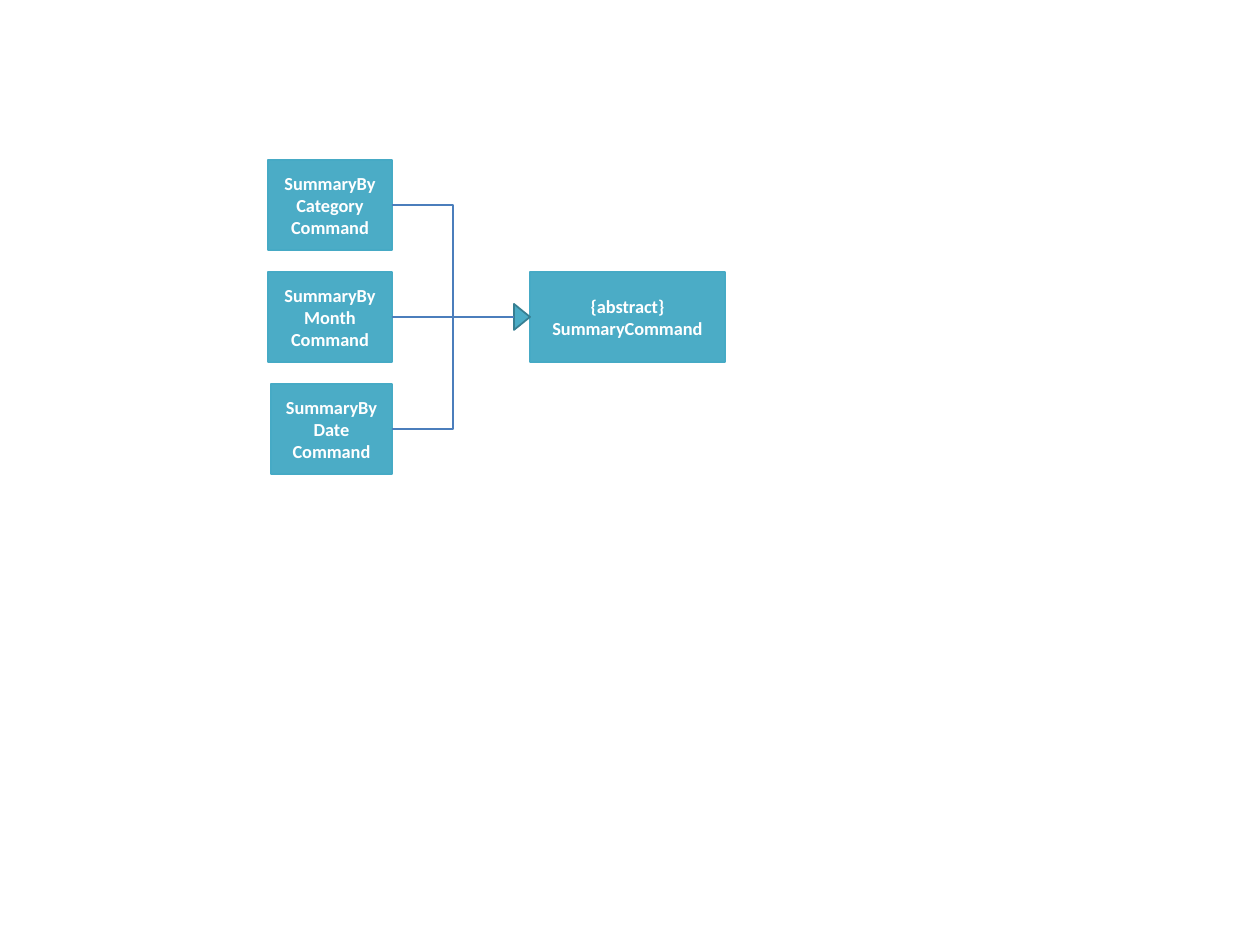
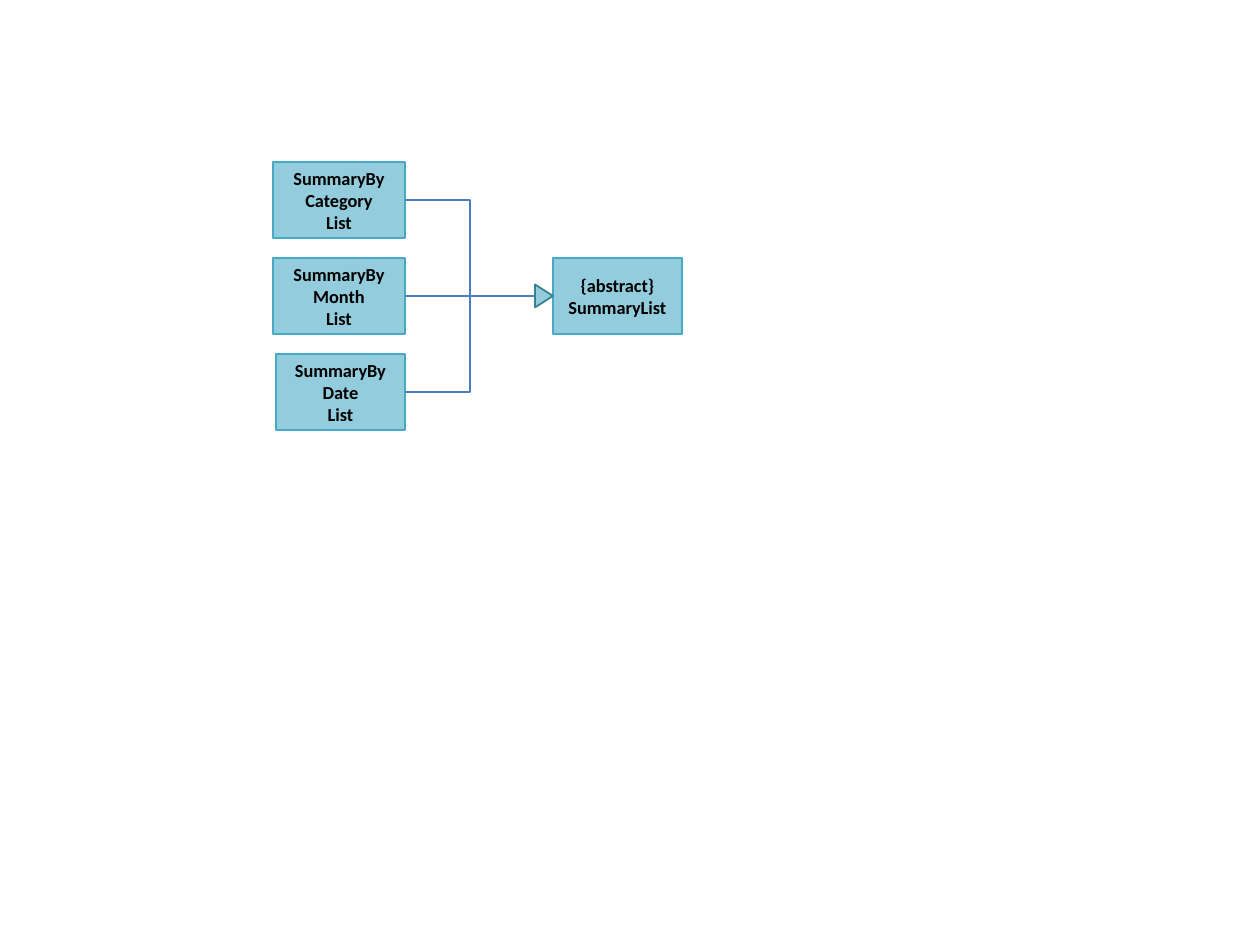
from dataclasses import dataclass

from lxml import etree
from pptx import Presentation
from pptx import util as u
from pptx.dml.color import RGBColor
from pptx.enum import shapes, text
from pptx.oxml import ns

COLORS = {
    "command": "4BACC6",
    "list": "93CDDD",
    "box_line": "46AAC5",
    "arrow_line": "377F92",
    "connector": "4B7EBC",
    "white": "FFFFFF",
    "black": "000000",
}
FONT = "Calibri"
BLANK_LAYOUT = 6
TEXT_MARGIN = 13
LAST_INDENT = 3  # the lowest subclass box starts slightly further right


@dataclass
class Hierarchy:
    """A class diagram: subclasses stacked on the left, their parent on the right."""
    subclasses: list
    parent: str
    fill: str
    font_color: str
    left: int
    top: int
    box_width: int
    box_height: int
    step: int
    parent_left: int
    parent_width: int
    arrow_length: int
    arrow_width: int


HIERARCHIES = [
    Hierarchy(["SummaryByCategory\nCommand", "SummaryByMonth\nCommand",
               "SummaryByDate\nCommand"],
              "{abstract}\nSummaryCommand", "command", "white",
              left=268, top=160, box_width=124, box_height=90, step=112,
              parent_left=530, parent_width=195, arrow_length=16, arrow_width=26),
    Hierarchy(["SummaryBy\nCategory\nList", "SummaryByMonth\nList",
               "SummaryBy\nDate\nList"],
              "{abstract}\nSummaryList", "list", "black",
              left=273, top=162, box_width=132, box_height=76, step=96,
              parent_left=553, parent_width=129, arrow_length=18, arrow_width=23),
]


def px(length):
    return u.Emu(round(length * 914400 / 126))


def rgb(name):
    return RGBColor.from_string(COLORS[name])


def add_filled_shape(slide, kind, box, fill, line, line_width):
    shape = slide.shapes.add_shape(kind, *map(px, box))
    shape.shadow.inherit = False
    shape.fill.solid()
    shape.fill.fore_color.rgb = rgb(fill)
    shape.line.color.rgb = rgb(line)
    shape.line.width = u.Pt(line_width)
    return shape


def add_class_box(slide, box, label, hierarchy):
    shape = add_filled_shape(slide, shapes.MSO_SHAPE.RECTANGLE, box,
                             hierarchy.fill, "box_line", 0.75)
    frame = shape.text_frame
    frame.word_wrap = True
    frame.vertical_anchor = text.MSO_ANCHOR.MIDDLE
    frame.margin_left = frame.margin_right = px(TEXT_MARGIN)
    frame.text = label
    for paragraph in frame.paragraphs:
        paragraph.alignment = text.PP_ALIGN.CENTER
        for run in paragraph.runs:
            run.font.name = FONT
            run.font.size = u.Pt(10.5)
            run.font.bold = True
            run.font.color.rgb = rgb(hierarchy.font_color)


def add_inheritance_arrow(slide, tip_x, tip_y, hierarchy):
    """Place a triangle, turned to point right, with its tip at the given point."""
    length, width = hierarchy.arrow_length, hierarchy.arrow_width
    center_x = tip_x - length / 2
    box = (center_x - width / 2, tip_y - length / 2, width, length)
    triangle = add_filled_shape(slide, shapes.MSO_SHAPE.ISOSCELES_TRIANGLE, box,
                                hierarchy.fill, "arrow_line", 1)
    triangle.rotation = 90


def add_elbow(slide, start, end):
    connector = slide.shapes.add_connector(shapes.MSO_CONNECTOR.ELBOW,
                                           *map(px, start + end))
    connector.line.color.rgb = rgb("connector")
    connector.line.width = u.Pt(1.5)
    etree.SubElement(connector.element.spPr, ns.qn("a:effectLst"))


def add_hierarchy_slide(presentation, hierarchy):
    slide = presentation.slides.add_slide(presentation.slide_layouts[BLANK_LAYOUT])
    height = hierarchy.box_height
    right = hierarchy.left + hierarchy.box_width
    tops = [hierarchy.top + row * hierarchy.step
            for row in range(len(hierarchy.subclasses))]
    parent_top = tops[len(tops) // 2]
    parent_middle = parent_top + height / 2

    for label, top in zip(hierarchy.subclasses, tops):
        left = hierarchy.left + (LAST_INDENT if top == tops[-1] else 0)
        add_class_box(slide, (left, top, right - left, height), label, hierarchy)
    add_class_box(slide, (hierarchy.parent_left, parent_top,
                          hierarchy.parent_width, height),
                  hierarchy.parent, hierarchy)
    add_inheritance_arrow(slide, hierarchy.parent_left, parent_middle, hierarchy)

    arrow_base = (hierarchy.parent_left - hierarchy.arrow_length, parent_middle)
    for top in tops:
        add_elbow(slide, (right, top + height / 2), arrow_base)


def main():
    presentation = Presentation()
    presentation.slide_width = px(1260)
    presentation.slide_height = px(945)
    for hierarchy in HIERARCHIES:
        add_hierarchy_slide(presentation, hierarchy)
    presentation.save("out.pptx")


if __name__ == "__main__":
    main()
